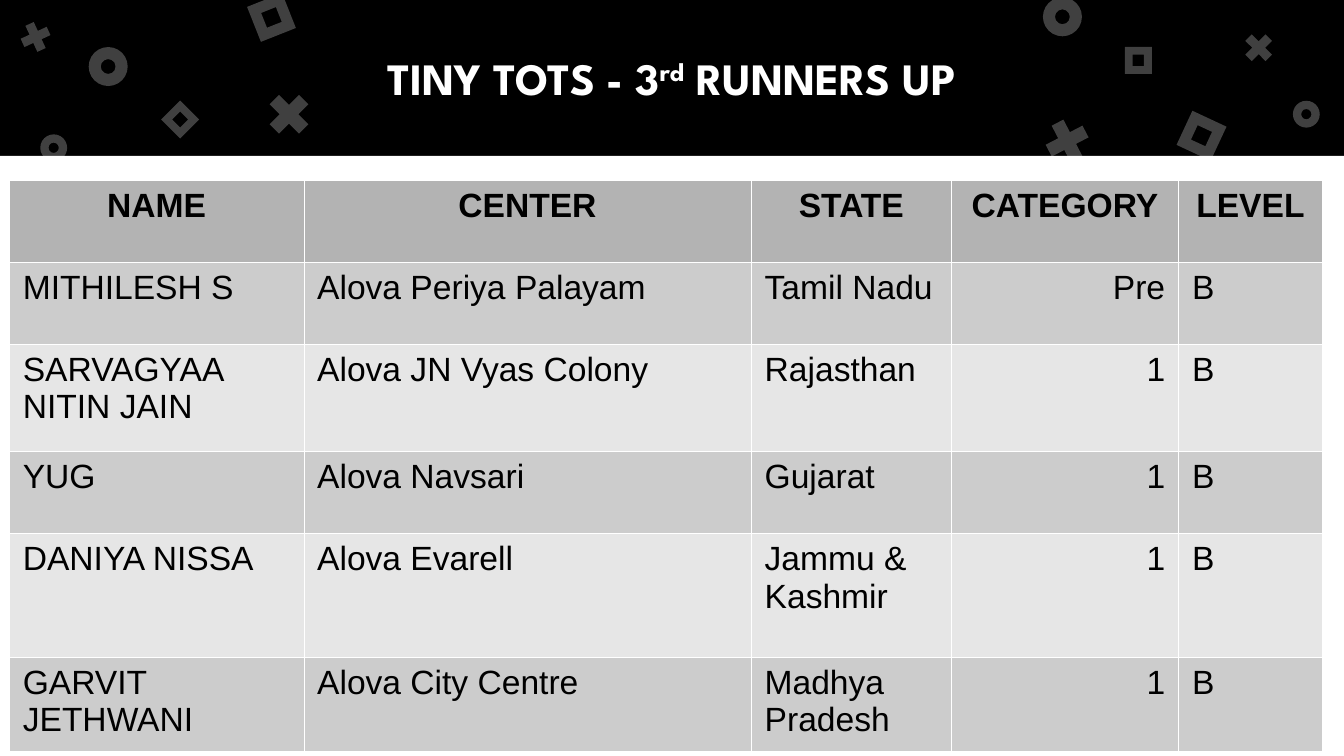
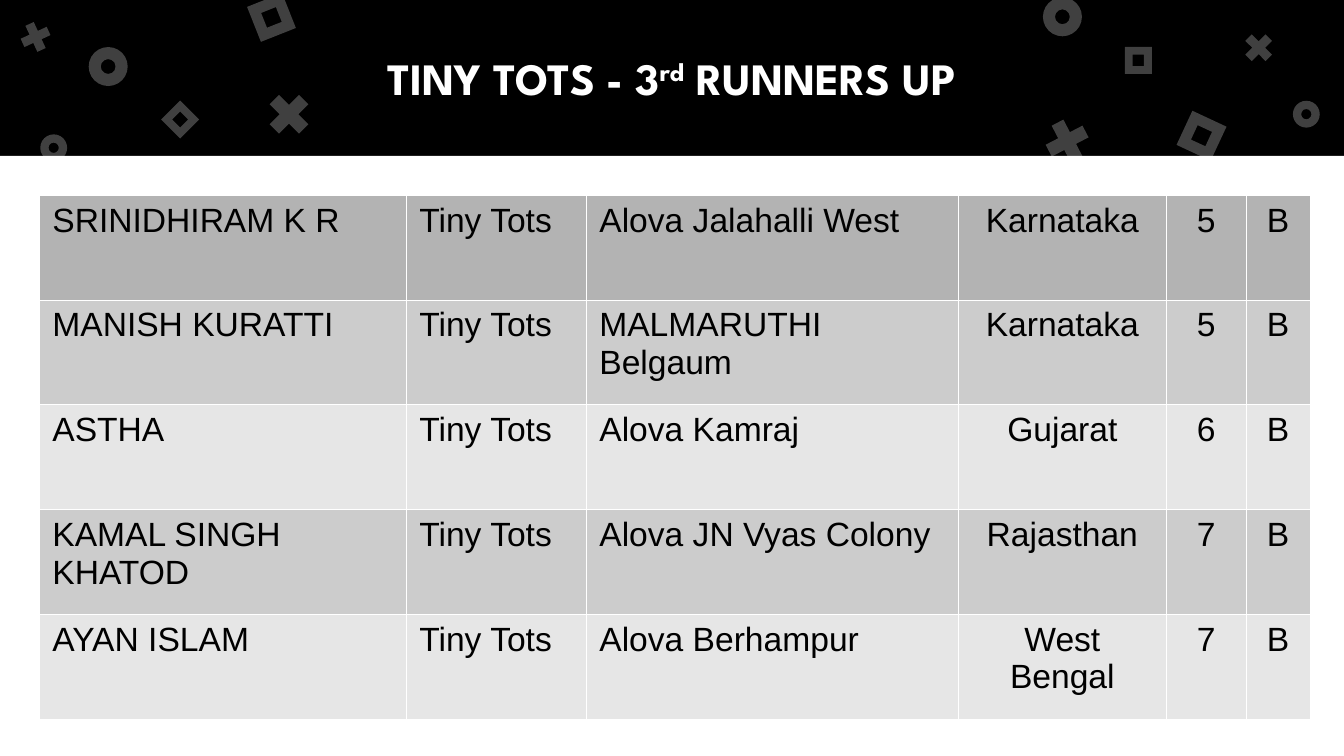
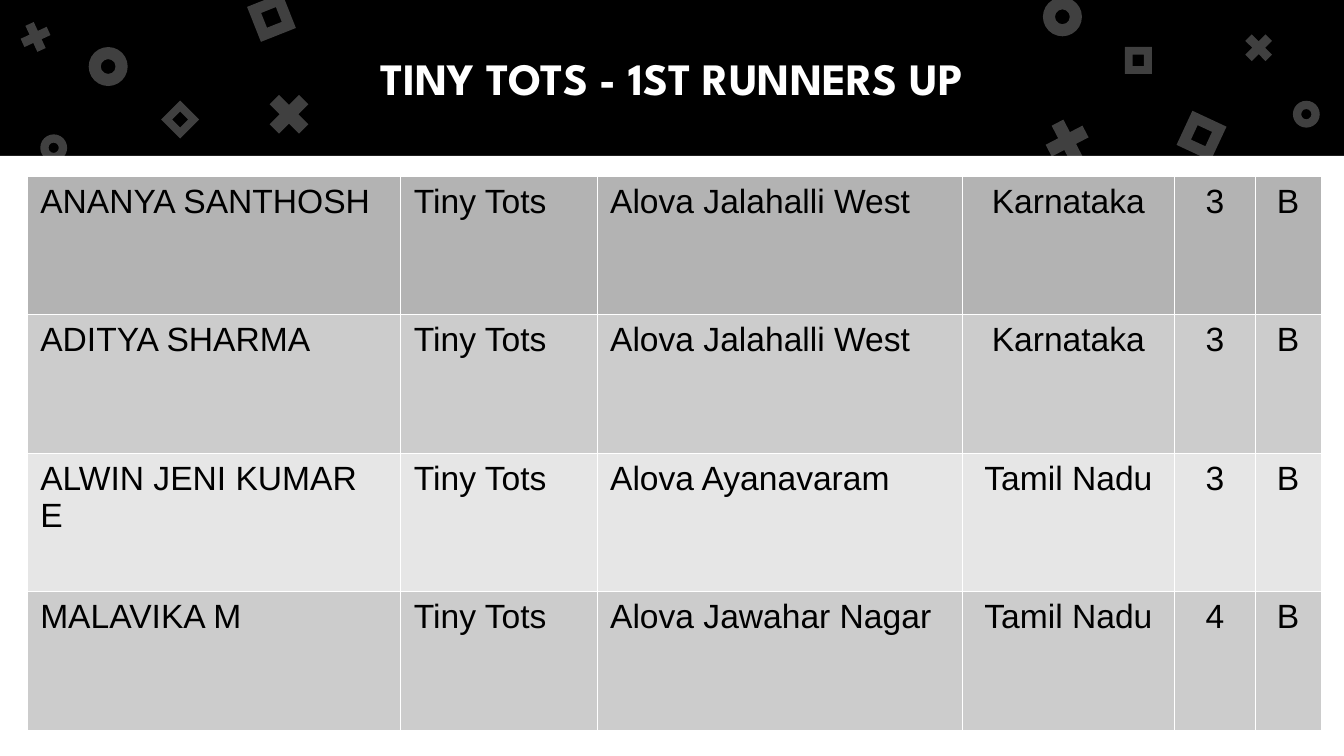
from dataclasses import dataclass

from pptx import Presentation
from pptx.dml.color import RGBColor
from pptx.enum.shapes import MSO_SHAPE
from pptx.enum.text import MSO_ANCHOR, PP_ALIGN
from pptx.oxml import parse_xml
from pptx.oxml.ns import nsdecls, qn
from pptx.util import Inches, Pt

RECT = MSO_SHAPE.RECTANGLE
RING = MSO_SHAPE.DONUT
CROSS = MSO_SHAPE.MATH_MULTIPLY
FRAME = MSO_SHAPE.FRAME
MIDDLE = MSO_ANCHOR.MIDDLE
ALIGN = {"l": PP_ALIGN.LEFT, "c": PP_ALIGN.CENTER, "r": PP_ALIGN.RIGHT}


@dataclass(frozen=True)
class Theme:
    back: str = "7BD100"
    dark: str = "000000"
    light: str = "FFFFFF"
    head: str = "B3B3B3"
    bands: tuple = ("CCCCCC", "E6E6E6")
    title_font: str = "League Spartan"
    body_font: str = "Arial"
    title_size: float = 24
    body_size: float = 18
    rule: float = 0.06
    alpha: int = 25000
    raised: int = 33000


THEME = Theme()
WIDTH, BAND = 10, 1.16
HEIGHT = WIDTH * 9 / 16
ADJUST = {RING: 0.31, CROSS: 0.235, FRAME: 0.289}

# kind, left, top, size, rotation; places are relative to the band
MARKS = [
    (RING, 0.66, 0.35, 0.29, 0),
    (CROSS, 1.94, 0.64, 0.42, 0),
    (FRAME, 1.88, -0.01, 0.28, 338.4),
    (RING, 7.76, -0.02, 0.29, 0),
    (CROSS, 7.73, 0.84, 0.42, 17.5),
    (FRAME, 8.8, 0.87, 0.28, 25),
    (RING, 0.3, 1, 0.2, 0),
    (CROSS, 0.12, 0.13, 0.29, 20.4),
    (FRAME, 1.24, 0.79, 0.2, 45),
    (RING, 9.62, 0.75, 0.2, 0),
    (CROSS, 9.22, 0.21, 0.29, 0),
    (FRAME, 8.37, 0.35, 0.2, 0),
]

# title pieces: text, raised
THIRD = [("TINY TOTS - 3", False), ("rd", True), (" RUNNERS UP", False)]
FIRST = [("TINY TOTS - 1ST RUNNERS UP", False)]

HEADS = ["NAME", "CENTER", "STATE", "CATEGORY", "LEVEL"]
GROUP, LEVEL = "Tiny Tots", "B"
PRE_ROWS = [
    ("MITHILESH S", "Alova Periya Palayam", "Tamil Nadu", "Pre"),
    ("SARVAGYAA NITIN JAIN", "Alova JN Vyas Colony", "Rajasthan", "1"),
    ("YUG", "Alova Navsari", "Gujarat", "1"),
    ("DANIYA NISSA", "Alova Evarell", "Jammu & Kashmir", "1"),
    ("GARVIT JETHWANI", "Alova City Centre", "Madhya Pradesh", "1"),
]
THIRD_ROWS = [
    ("SRINIDHIRAM K R", "Alova Jalahalli West", "Karnataka", "5"),
    ("MANISH KURATTI", "MALMARUTHI Belgaum", "Karnataka", "5"),
    ("ASTHA", "Alova Kamraj", "Gujarat", "6"),
    ("KAMAL SINGH KHATOD", "Alova JN Vyas Colony", "Rajasthan", "7"),
    ("AYAN ISLAM", "Alova Berhampur", "West Bengal", "7"),
]
FIRST_ROWS = [
    ("ANANYA SANTHOSH", "Alova Jalahalli West", "Karnataka", "3"),
    ("ADITYA SHARMA", "Alova Jalahalli West", "Karnataka", "3"),
    ("ALWIN JENI KUMAR E", "Alova Ayanavaram", "Tamil Nadu", "3"),
    ("MALAVIKA M", "Alova Jawahar Nagar", "Tamil Nadu", "4"),
]


def rgb(code):
    return RGBColor.from_string(code)


def add_shape(slide, kind, box, color):
    shape = slide.shapes.add_shape(kind, *map(Inches, box))
    shape.shadow.inherit = False
    shape.fill.solid()
    shape.fill.fore_color.rgb = rgb(color)
    shape.line.fill.background()
    return shape


def add_run(para, text, font, size, color, bold):
    run = para.add_run()
    run.text = text
    run.font.name = font
    run.font.size = Pt(size)
    run.font.bold = bold
    run.font.color.rgb = rgb(color)
    return run


def add_marks(slide, left, top):
    for kind, x, y, size, turn in MARKS:
        mark = add_shape(slide, kind, (left + x, top + y, size, size), THEME.light)
        mark.adjustments[0] = ADJUST[kind]
        mark.rotation = turn
        color = mark._element.spPr.find(f".//{qn('a:srgbClr')}")
        color.append(parse_xml(f'<a:alpha {nsdecls("a")} val="{THEME.alpha}"/>'))


def add_title(slide, box, parts):
    frame = slide.shapes.add_textbox(*map(Inches, box)).text_frame
    frame.word_wrap = True
    frame.vertical_anchor = MIDDLE
    frame.margin_left = frame.margin_right = Inches(0.1)
    frame.margin_top = frame.margin_bottom = Inches(0.1)
    para = frame.paragraphs[0]
    para.alignment = ALIGN["c"]
    for text, raised in parts:
        run = add_run(para, text, THEME.title_font, THEME.title_size, THEME.light, True)
        if raised:
            run._r.get_or_add_rPr().set("baseline", str(THEME.raised))


def add_page(deck, parts):
    """Add a slide with the dark band, its marks and the title."""
    slide = deck.slides.add_slide(deck.slide_layouts[6])
    slide.background.fill.solid()
    slide.background.fill.fore_color.rgb = rgb(THEME.back)
    add_shape(slide, RECT, (0, 0, WIDTH, BAND), THEME.dark)
    add_shape(slide, RECT, (0, BAND, WIDTH, HEIGHT - BAND), THEME.light)
    add_marks(slide, 0, 0)
    add_title(slide, (0.5, 0, WIDTH - 1, BAND), parts)
    return slide


def add_rules(cell):
    """Draw a thin light line on all four sides of a cell."""
    props = cell._tc.get_or_add_tcPr()
    for side in "LRTB":
        props.append(parse_xml(
            f'<a:ln{side} {nsdecls("a")} w="{Pt(THEME.rule)}"><a:solidFill>'
            f'<a:srgbClr val="{THEME.light}"/></a:solidFill></a:ln{side}>'))


def fill_cell(cell, text, align, color, bold):
    add_rules(cell)
    cell.fill.solid()
    cell.fill.fore_color.rgb = rgb(color)
    para = cell.text_frame.paragraphs[0]
    para.alignment = ALIGN[align]
    add_run(para, text, THEME.body_font, THEME.body_size, THEME.dark, bold)


def add_grid(slide, left, top, cols, heights, rows, aligns, titled=False):
    """Add a banded table; a titled one has a bold, centred first row."""
    box = map(Inches, (left, top, sum(cols), sum(heights)))
    table = slide.shapes.add_table(len(rows), len(cols), *box).table
    table.first_row = table.horz_banding = False
    for col, width in zip(table.columns, cols):
        col.width = Inches(width)
    for i, (height, row) in enumerate(zip(heights, rows)):
        table.rows[i].height = Inches(height)
        color = THEME.bands[(i - 1) % 2] if i else THEME.head
        head = titled and i == 0
        for j, text in enumerate(row):
            align = "c" if head else aligns[j]
            fill_cell(table.cell(i, j), text, align, color, head)


def add_pre(deck):
    rows = [HEADS] + [(*row, LEVEL) for row in PRE_ROWS]
    add_grid(add_page(deck, THIRD), 0.07, 1.34, [2.19, 3.33, 1.49, 1.69, 1.07],
             [0.61, 0.61, 0.8, 0.61, 0.92, 0.61], rows, "lllrl", titled=True)


def add_group(deck, parts, left, top, cols, height, people):
    rows = [(name, GROUP, *rest, LEVEL) for name, *rest in people]
    add_grid(add_page(deck, parts), left, top, cols, [height] * len(rows), rows, "lllccc")


def main():
    deck = Presentation()
    deck.slide_width, deck.slide_height = Inches(WIDTH), Inches(HEIGHT)
    add_pre(deck)
    add_group(deck, THIRD, 0.29, 1.45, [2.73, 1.34, 2.77, 1.55, 0.59, 0.48],
              0.78, THIRD_ROWS)
    add_group(deck, FIRST, 0.2, 1.31, [2.78, 1.46, 2.72, 1.58, 0.6, 0.49],
              1.03, FIRST_ROWS)
    deck.save("out.pptx")


if __name__ == "__main__":
    main()
